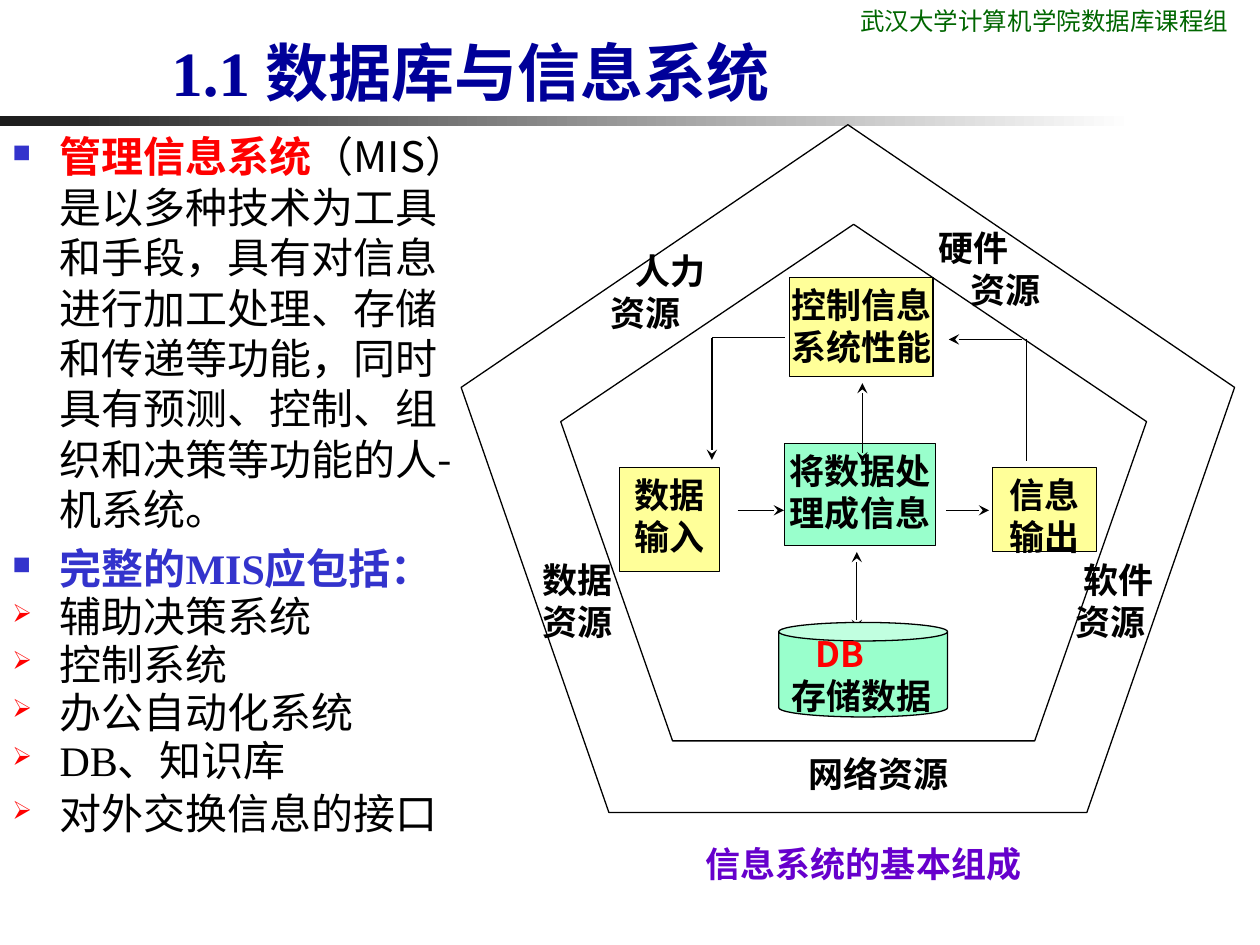
from lxml.etree import SubElement as Sub
from pptx import Presentation
from pptx.dml.color import RGBColor as RGB
from pptx.enum.shapes import MSO_CONNECTOR as LINK, MSO_SHAPE as FORM
from pptx.enum.text import MSO_ANCHOR as ANCHOR, MSO_AUTO_SIZE as AUTO, PP_ALIGN as ALIGN
from pptx.oxml.ns import qn
from pptx.util import Pt

BLACK = RGB(0, 0, 0)
WHITE = RGB(255, 255, 255)
DARK = RGB(0x1C, 0x1C, 0x1C)
NAVY = RGB(0, 0, 0x99)
BLUE = RGB(0x33, 0x33, 0xCC)
RED = RGB(255, 0, 0)
GREEN = RGB(0, 0x66, 0)
PURPLE = RGB(0x66, 0, 0xCC)
YELLOW = RGB(255, 255, 0x99)
MINT = RGB(0x99, 255, 0xCC)
SANS = "Noto Sans CJK SC"
SERIF = "Times New Roman"
INSET = (7.2, 3.6, 7.2, 3.6)
SNUG = (0, 3.6, 0, 0)


class Page:
    """Holds the text style and the current slide."""

    def __init__(self, slide, font=SANS, size=20):
        self.slide, self.font, self.size = slide, font, size

    def run(self, para, text, color=BLACK, bold=True, font=None, size=None):
        run = para.add_run()
        run.text = text
        face = run.font
        face.name, face.size = font or self.font, Pt(size or self.size)
        face.bold, face.color.rgb = bold, color
        Sub(face._element, qn("a:ea"), typeface=SANS)

    def frame(self, shape, inset=INSET, anchor=ANCHOR.TOP):
        frame = shape.text_frame
        frame.word_wrap, frame.auto_size = True, AUTO.NONE
        frame.vertical_anchor = anchor
        frame.margin_left, frame.margin_top, frame.margin_right, frame.margin_bottom = map(Pt, inset)
        return frame

    def lines(self, frame, rows, align=ALIGN.LEFT):
        for i, (text, indent, style) in enumerate(rows):
            para = frame.add_paragraph() if i else frame.paragraphs[0]
            para.alignment = align
            if indent:
                para._p.get_or_add_pPr().set("marL", str(Pt(indent)))
            self.run(para, text, **style)

    def title(self, box, text):
        shape = self.slide.shapes.title
        shape.left, shape.top, shape.width, shape.height = map(Pt, box)
        frame = self.frame(shape, anchor=ANCHOR.BOTTOM)
        self.lines(frame, [(text, 0, dict(color=NAVY, font=SERIF, size=36))])

    def label(self, box, *rows, inset=INSET):
        shape = self.slide.shapes.add_textbox(*map(Pt, box))
        self.lines(self.frame(shape, inset), rows)

    def shape(self, form, box, fill):
        shape = self.slide.shapes.add_shape(form, *map(Pt, box))
        shape.shadow.inherit = False
        shape.fill.solid()
        shape.fill.fore_color.rgb = fill
        shape.line.color.rgb, shape.line.width = BLACK, Pt(0.75)
        return shape

    def box(self, box, fill, *texts):
        frame = self.frame(self.shape(FORM.RECTANGLE, box, fill), SNUG)
        self.lines(frame, [(text, 0, {}) for text in texts], ALIGN.CENTER)

    def can(self, box, *rows):
        shape = self.shape(FORM.CAN, box, MINT)
        shape.adjustments[0] = 0.196
        self.lines(self.frame(shape, anchor=ANCHOR.MIDDLE), rows)

    def band(self, box):
        shape = self.shape(FORM.RECTANGLE, box, DARK)
        shape.line.fill.background()
        shape.fill.gradient()
        shape.fill.gradient_angle = 0
        for stop, color in zip(shape.fill.gradient_stops, (DARK, WHITE)):
            stop.color.rgb = color

    def line(self, ends, *heads):
        link = self.slide.shapes.add_connector(LINK.STRAIGHT, *map(Pt, ends))
        link.line.color.rgb, link.line.width = BLACK, Pt(0.75)
        for head in heads:
            Sub(link.line._get_or_add_ln(), qn("a:" + head), type="stealth")
        Sub(link._element.spPr, qn("a:effectLst"))

    def list(self, box, items, pitch):
        frame = self.frame(self.slide.shapes.add_textbox(*map(Pt, box)))
        for i, (mark, tint, gap, runs) in enumerate(items):
            para = frame.add_paragraph() if i else frame.paragraphs[0]
            para.line_spacing, para.space_before = pitch, Pt(gap)
            props = para._p.get_or_add_pPr()
            props.set("marL", str(Pt(27)))
            props.set("indent", str(Pt(-27)))
            Sub(Sub(props, qn("a:buClr")), qn("a:srgbClr"), val=str(tint))
            Sub(props, qn("a:buSzPct"), val="60000")
            Sub(props, qn("a:buChar"), char=mark)
            for text, style in runs:
                self.run(para, text, size=24, **style)


def main():
    deck = Presentation()
    deck.slide_width, deck.slide_height = Pt(720), Pt(540)
    page = Page(deck.slides.add_slide(deck.slide_layouts[5]))

    page.band((0, 66.2, 648, 5.8))
    page.label((484.5, 0, 235.5, 24.5),
               ("武汉大学计算机学院数据库课程组", 0, dict(color=GREEN, bold=False, font="Karla", size=14)))
    page.title((90.7, 0, 491, 66.2), "1.1 数据库与信息系统")
    about = "（MIS）是以多种技术为工具和手段，具有对信息进行加工处理、存储和传递等功能，同时具有预测、控制、组织和决策等功能的人-机系统。"
    page.list((0, 71.3, 280.8, 250),
              [("■", BLUE, 0, [("管理信息系统", dict(color=RED)), (about, dict(bold=False))])], 1)

    for area in ((263.5, 71.3, 442, 393), (320.4, 128.2, 334.8, 295.2)):
        page.shape(FORM.REGULAR_PENTAGON, area, WHITE)
    page.box((354.2, 267, 56.9, 59.8), YELLOW, "数据输入")
    page.box((448.3, 253.4, 86.4, 58.3), MINT, "将数据处", "理成信息")
    page.box((567, 267, 59.8, 48.2), YELLOW, "信息输出")
    page.box((451.1, 158.4, 82.1, 56.9), YELLOW, "控制信息", "系统性能")
    for ends, *heads in (
        ((421.5, 291.6, 448, 291.6), "tailEnd"),
        ((540.7, 291.6, 565.2, 291.6), "tailEnd"),
        ((492.8, 264.2, 492.8, 218.9), "headEnd", "tailEnd"),
        ((489.6, 360, 489.6, 315.4), "headEnd", "tailEnd"),
        ((542.2, 194, 584, 194), "headEnd"),
        ((586.6, 194, 586.6, 263.5),),
        ((406.8, 193, 406.8, 262.8), "tailEnd"),
        ((406.8, 193, 448.3, 193),),
    ):
        page.line(ends, *heads)
    page.can((445, 355.7, 96.5, 54), ("DB", 14, dict(color=RED)), ("存储数据", 0, {}))

    page.label((462.2, 428.4, 90.7, 36), ("网络资源", 0, {}), inset=(0, 1.4, 0, 0))
    page.label((391.7, 478, 211.7, 38.2), ("信息系统的基本组成", 4.5, dict(color=PURPLE)))
    for left, top, name, first, second in (
        (529.2, 126, "硬件", 0, 18),
        (342, 139, "人力", 14, 0),
        (303.1, 315.4, "数据", 0, 0),
        (607.7, 315.4, "软件", 4.5, 0),
    ):
        page.label((left, top, 98, 59.8), (name, first, {}), ("资源", second, {}))

    items = [("■", BLUE, 0, [("完整的MIS应包括：", dict(color=BLUE, font=SERIF))])]
    for text, gap in (("辅助决策系统", 1.5), ("控制系统", 1.5), ("办公自动化系统", 1.5),
                      ("DB、知识库", 1.5), ("对外交换信息的接口", 4.5)):
        items.append(("➢", RED, gap, [(text, dict(bold=False, font=SERIF))]))
    page.list((0, 309.6, 263.5, 221), items, 0.9)
    deck.save("out.pptx")


if __name__ == "__main__":
    main()
